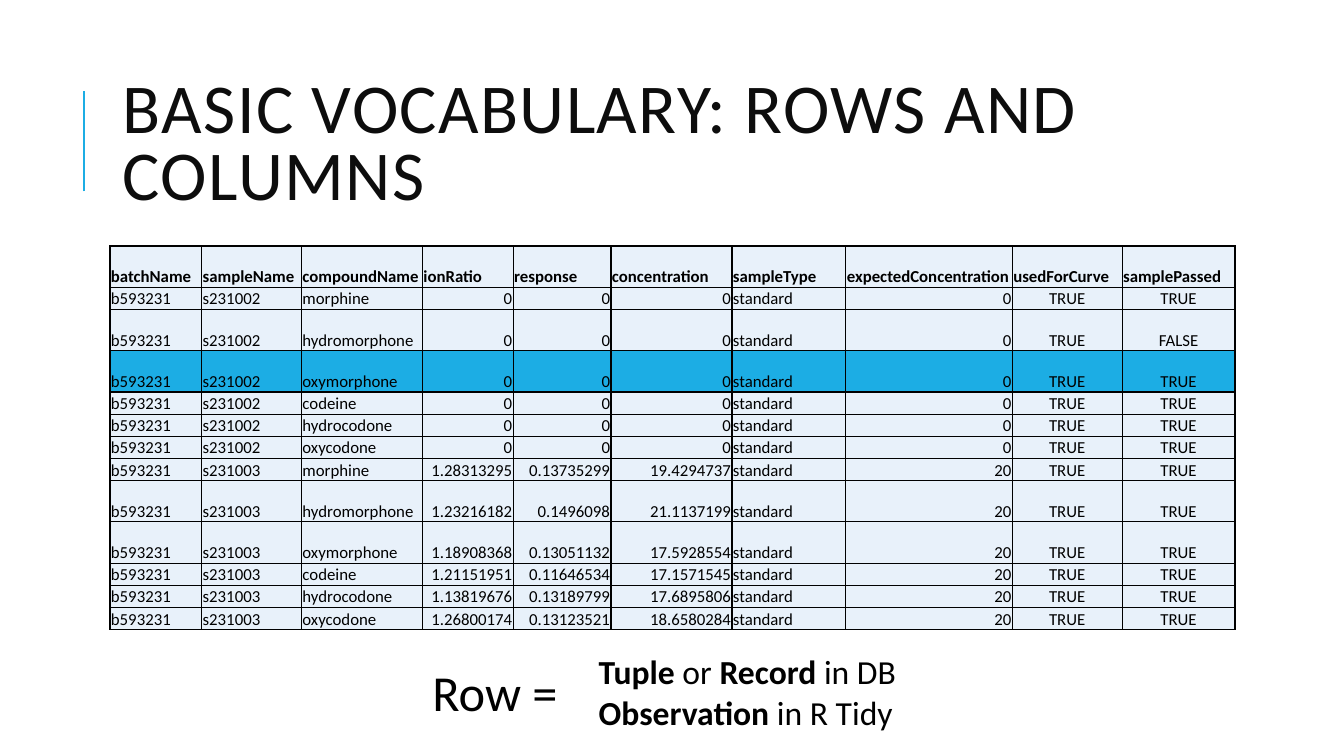
"""Build the slide that explains rows and columns with a highlighted table row."""
import lxml.etree
import pptx
import pptx.dml.color
import pptx.enum.text
import pptx.oxml.ns
import pptx.util

RGB = pptx.dml.color.RGBColor
ALIGN = pptx.enum.text.PP_ALIGN
ANCHOR = pptx.enum.text.MSO_ANCHOR
AUTO_SIZE = pptx.enum.text.MSO_AUTO_SIZE

BLACK = RGB(0x00, 0x00, 0x00)
TITLE_INK = RGB(0x0D, 0x0D, 0x0D)
ACCENT = RGB(0x1C, 0xAD, 0xE4)
PALE = RGB(0xE8, 0xF1, 0xFA)

TITLE = "BASIC VOCABULARY: ROWS AND COLUMNS"
TERM = [[("Row = ", False)]]
MEANINGS = [
    [("Tuple ", True), ("or", False), (" Record ", True), ("in DB", False)],
    [("Observation", True), (" in R Tidy", False)],
]

COLUMNS = [
    ("batchName", 0.91, ALIGN.LEFT),
    ("sampleName", 0.99, ALIGN.LEFT),
    ("compoundName", 1.2, ALIGN.LEFT),
    ("ionRatio", 0.9, ALIGN.RIGHT),
    ("response", 0.97, ALIGN.RIGHT),
    ("concentration", 1.2, ALIGN.RIGHT),
    ("sampleType", 1.13, ALIGN.LEFT),
    ("expectedConcentration", 1.65, ALIGN.RIGHT),
    ("usedForCurve", 1.09, ALIGN.CENTER),
    ("samplePassed", 1.12, ALIGN.CENTER),
]
BATCH, SAMPLE_TYPE, USED = "b593231", "standard", "TRUE"
MEASUREMENTS = [
    ("s231002", "morphine", "0", "0", "0", "0", "TRUE"),
    ("s231002", "hydromorphone", "0", "0", "0", "0", "FALSE"),
    ("s231002", "oxymorphone", "0", "0", "0", "0", "TRUE"),
    ("s231002", "codeine", "0", "0", "0", "0", "TRUE"),
    ("s231002", "hydrocodone", "0", "0", "0", "0", "TRUE"),
    ("s231002", "oxycodone", "0", "0", "0", "0", "TRUE"),
    ("s231003", "morphine", "1.28313295", "0.13735299", "19.4294737", "20", "TRUE"),
    ("s231003", "hydromorphone", "1.23216182", "0.1496098", "21.1137199", "20", "TRUE"),
    ("s231003", "oxymorphone", "1.18908368", "0.13051132", "17.5928554", "20", "TRUE"),
    ("s231003", "codeine", "1.21151951", "0.11646534", "17.1571545", "20", "TRUE"),
    ("s231003", "hydrocodone", "1.13819676", "0.13189799", "17.6895806", "20", "TRUE"),
    ("s231003", "oxycodone", "1.26800174", "0.13123521", "18.6580284", "20", "TRUE"),
]
HIGHLIGHTED_ROW = 3
TALL_ROW, SHORT_ROW = 0.41, 0.22

SLIDE_WIDTH, SLIDE_HEIGHT = pptx.util.Inches(13.33), pptx.util.Inches(7.5)
TITLE_AREA = (8.4, 8.53, 79.74, 21.87)
TITLE_RULE = (6.23, 25.33, 6.23, 12)
TABLE_AREA = (8.18, 32.53, 83.65, 50.8)
TERM_AREA = (15.83, 86.8, 42.84, 9.47)
MEANINGS_AREA = (43.81, 85.47, 29.71, 12.13)


def place(x, y, *rest):
    """Turn percentages of the slide into lengths, alternating x and y."""
    sides = (SLIDE_WIDTH, SLIDE_HEIGHT) * 2
    return [int(side * share / 100) for side, share in zip(sides, (x, y, *rest))]


def write(frame, paragraphs, size, color=BLACK, align=ALIGN.LEFT, line_spacing=None, tracking=None):
    """Fill a text frame with paragraphs made of (text, bold) runs."""
    for index, runs in enumerate(paragraphs):
        paragraph = frame.add_paragraph() if index else frame.paragraphs[0]
        paragraph.alignment = align
        if line_spacing:
            paragraph.line_spacing = line_spacing
        for text, bold in runs:
            run = paragraph.add_run()
            run.text = text
            run.font.name = "Calibri"
            run.font.size = pptx.util.Pt(size)
            run.font.bold = bold
            run.font.color.rgb = color
            if tracking:
                run.font._element.set("spc", str(tracking * 100))


def outline(cell):
    """Draw a thin black border on all four sides of a cell."""
    properties = cell._tc.get_or_add_tcPr()
    qn = pptx.oxml.ns.qn
    for side in ("a:lnL", "a:lnR", "a:lnT", "a:lnB"):
        border = lxml.etree.SubElement(properties, qn(side), w=str(pptx.util.Pt(1)))
        solid = lxml.etree.SubElement(border, qn("a:solidFill"))
        lxml.etree.SubElement(solid, qn("a:srgbClr"), val=str(BLACK))


def add_title(slide):
    """Format the title placeholder and draw the rule beside it."""
    title = slide.shapes.title
    title.left, title.top, title.width, title.height = place(*TITLE_AREA)
    title.text_frame.word_wrap = True
    title.text_frame.auto_size = AUTO_SIZE.NONE
    title.text_frame.vertical_anchor = ANCHOR.MIDDLE
    write(title.text_frame, [[(TITLE, False)]], 50, color=TITLE_INK, line_spacing=0.8, tracking=1)

    rule = slide.shapes.add_connector(1, *place(*TITLE_RULE))
    rule.line.color.rgb = ACCENT
    rule.line.width = pptx.util.Pt(1.5)
    lxml.etree.SubElement(rule._element.spPr, pptx.oxml.ns.qn("a:effectLst"))


def add_measurements(slide):
    """Add the table of measurements with one highlighted row."""
    rows = [[name for name, _, _ in COLUMNS]]
    for sample, compound, ratio, response, amount, expected, passed in MEASUREMENTS:
        rows.append([BATCH, sample, compound, ratio, response, amount,
                     SAMPLE_TYPE, expected, USED, passed])
    table = slide.shapes.add_table(len(rows), len(COLUMNS), *place(*TABLE_AREA)).table
    table.first_row = table.horz_banding = False
    for column, (_, width, _) in zip(table.columns, COLUMNS):
        column.width = pptx.util.Inches(width)

    for r, values in enumerate(rows):
        header = r == 0
        tall = header or values[2].endswith("morphone")
        table.rows[r].height = pptx.util.Inches(TALL_ROW if tall else SHORT_ROW)
        for c, value in enumerate(values):
            cell = table.cell(r, c)
            cell.margin_left = cell.margin_top = cell.margin_right = pptx.util.Inches(0.01)
            cell.margin_bottom = 0
            cell.vertical_anchor = ANCHOR.BOTTOM
            outline(cell)
            cell.fill.solid()
            cell.fill.fore_color.rgb = ACCENT if r == HIGHLIGHTED_ROW else PALE
            write(cell.text_frame, [[(value, header)]], 12,
                  align=ALIGN.LEFT if header else COLUMNS[c][2])


def add_definition(slide):
    """Add the term and its meanings below the table."""
    for area, paragraphs, size, align in (
        (TERM_AREA, TERM, 36, ALIGN.CENTER),
        (MEANINGS_AREA, MEANINGS, 24, ALIGN.LEFT),
    ):
        frame = slide.shapes.add_textbox(*place(*area)).text_frame
        frame.word_wrap = True
        frame.auto_size = AUTO_SIZE.SHAPE_TO_FIT_TEXT
        write(frame, paragraphs, size, align=align)


def main():
    """Build and save the presentation."""
    presentation = pptx.Presentation()
    presentation.slide_width, presentation.slide_height = SLIDE_WIDTH, SLIDE_HEIGHT
    slide = presentation.slides.add_slide(presentation.slide_layouts[5])
    add_title(slide)
    add_measurements(slide)
    add_definition(slide)
    presentation.save("out.pptx")


if __name__ == "__main__":
    main()
